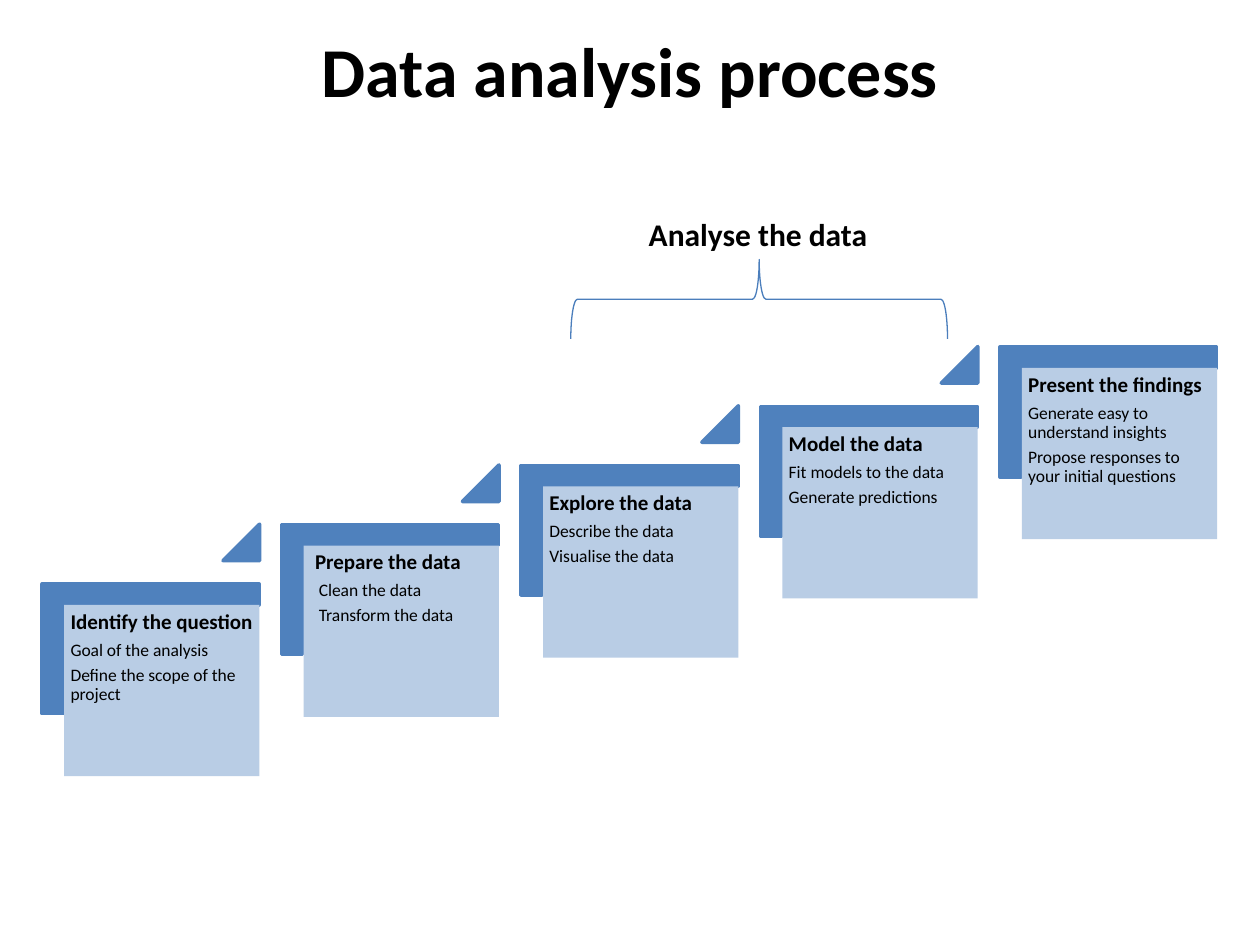
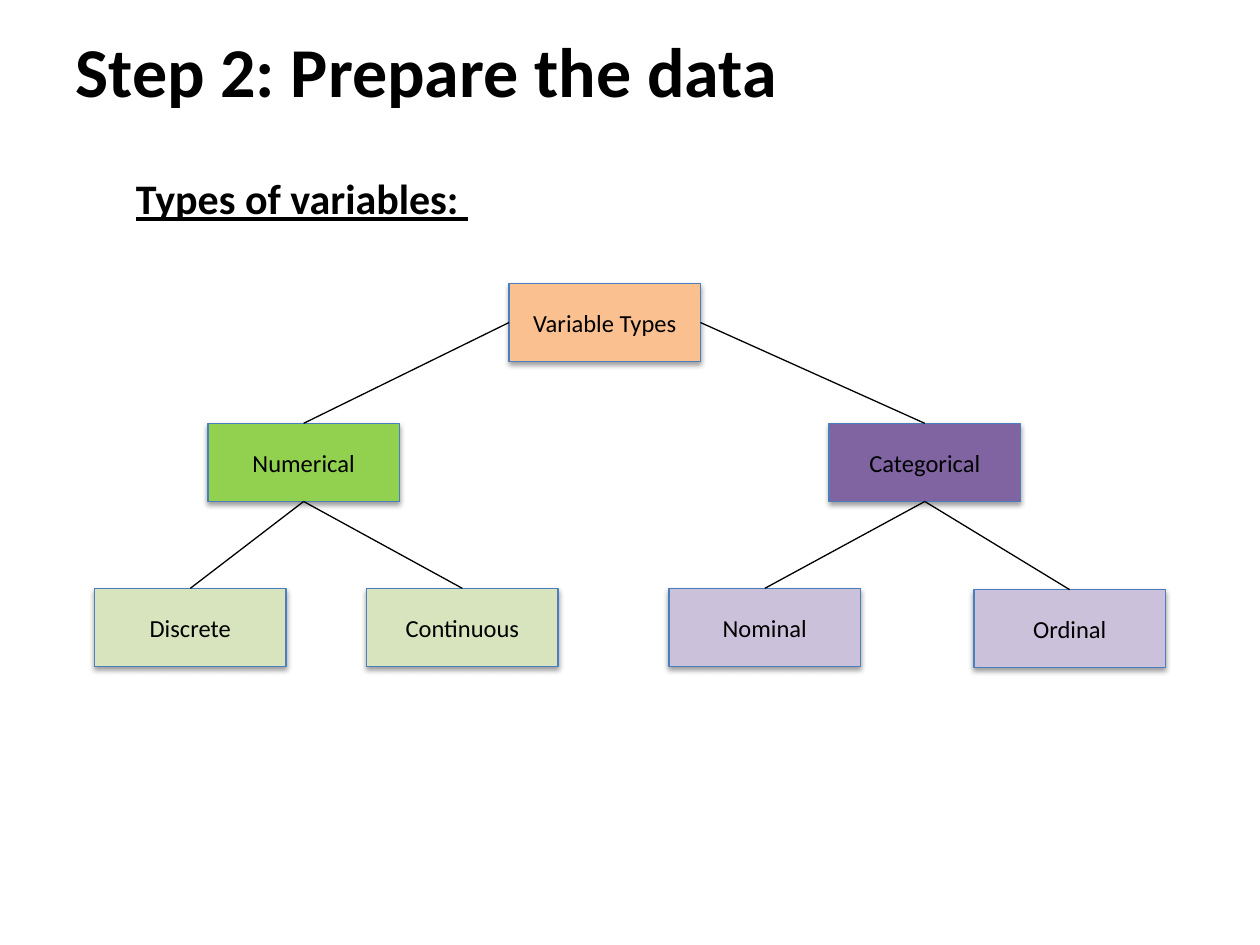
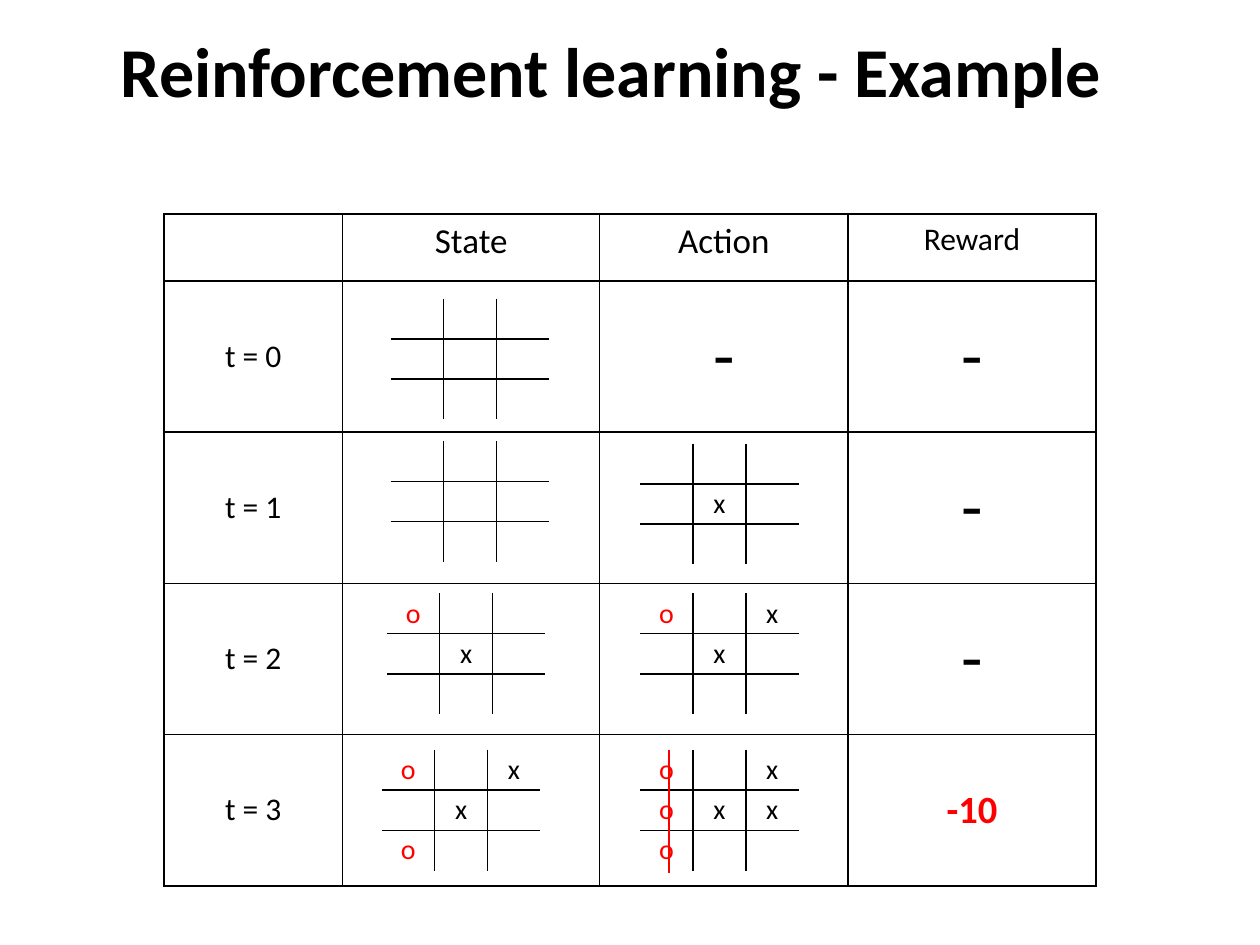
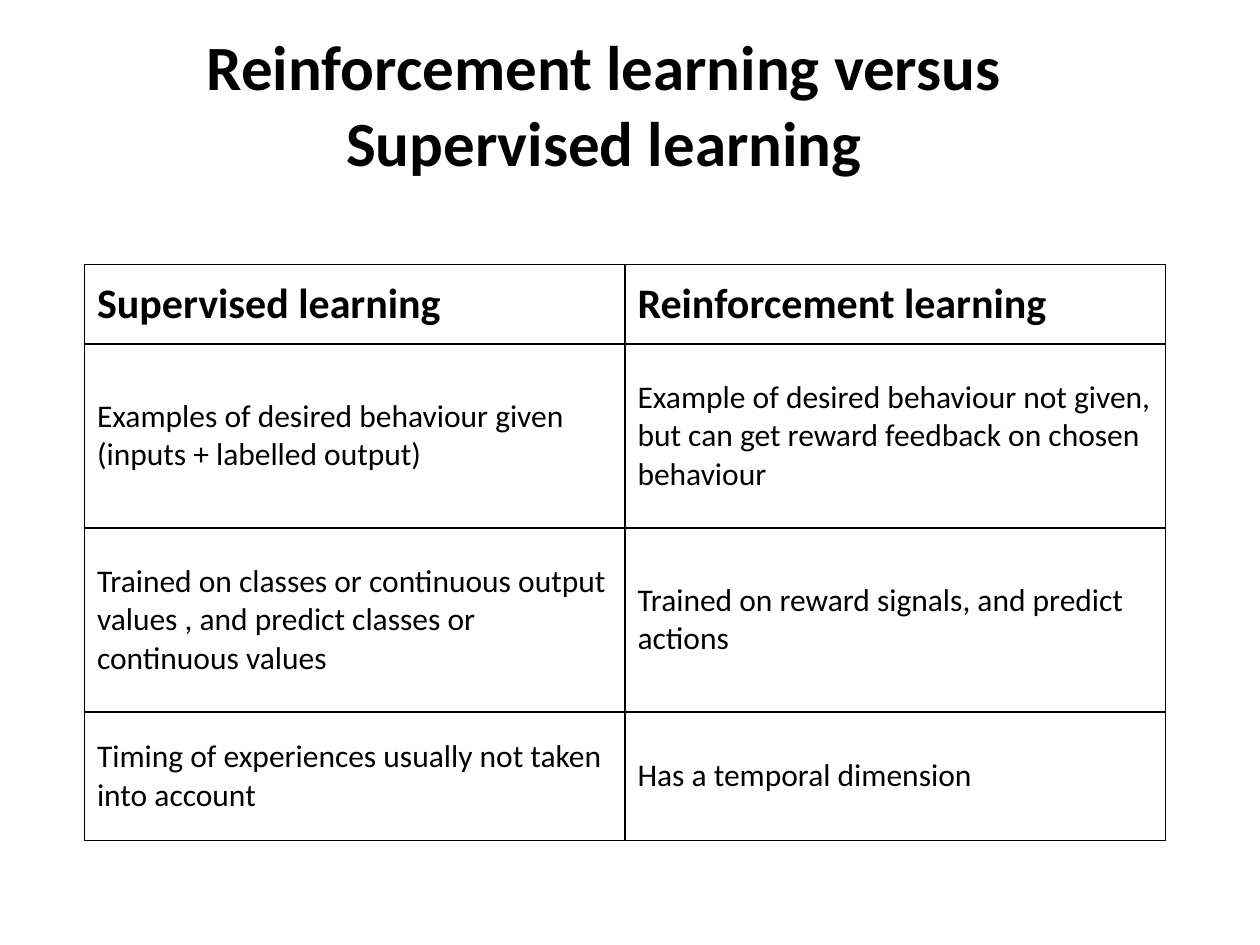
from lxml import etree
from pptx import Presentation
from pptx.dml.color import RGBColor
from pptx.enum import shapes, text
from pptx.oxml.ns import qn
from pptx.util import Inches, Pt

FONT = "Calibri"
BLACK, RED = "000000", "FF0000"
BLUE, PALE_BLUE, OUTLINE_BLUE = "4F81BD", "B9CDE5", "4B7EBC"
ORANGE, GREEN, PALE_GREEN = "FAC090", "92D050", "D7E4BD"
PURPLE, PALE_PURPLE = "8064A2", "CCC1DA"

LEFT, CENTER = text.PP_ALIGN.LEFT, text.PP_ALIGN.CENTER
TOP, MIDDLE = text.MSO_ANCHOR.TOP, text.MSO_ANCHOR.MIDDLE
TITLE_LEFT, TITLE_TOP, TITLE_WIDTH, TITLE_HEIGHT = 0.5, 0.17, 9, 0.83
ALL_SIDES = "LRTB"
BOARD_CELL_WIDTH, BOARD_CELL_HEIGHT = 0.42, 0.32


def color(hex_code):
    return RGBColor.from_string(hex_code)


def box(left, top, width, height):
    return [Inches(length) for length in (left, top, width, height)]


def add_run(paragraph, words, size, bold=False, hex_code=BLACK, underline=False):
    run = paragraph.add_run()
    run.text = words
    font = run.font
    font.name, font.size, font.bold = FONT, Pt(size), bold
    font.color.rgb = color(hex_code)
    if underline:
        font.underline = True


def add_titled_slide(deck, lines, size=40, left=TITLE_LEFT, align=CENTER):
    slide = deck.slides.add_slide(deck.slide_layouts[5])
    title = slide.shapes.title
    title.left, title.top, title.width, title.height = box(
        left, TITLE_TOP, TITLE_WIDTH, TITLE_HEIGHT)
    frame = title.text_frame
    frame.auto_size = text.MSO_AUTO_SIZE.NONE
    frame.vertical_anchor = TOP
    paragraph = frame.paragraphs[0]
    paragraph.alignment = align
    for number, line in enumerate(lines):
        if number:
            paragraph.add_line_break()
        add_run(paragraph, line, size, bold=True)
    return slide


def add_label(slide, place, words, size, underline=False):
    frame = slide.shapes.add_textbox(*box(*place)).text_frame
    frame.word_wrap = False
    frame.auto_size = text.MSO_AUTO_SIZE.SHAPE_TO_FIT_TEXT
    add_run(frame.paragraphs[0], words, size, bold=True, underline=underline)


def add_preset(slide, kind, place, fill=None, line=None, line_width=0.75):
    shape = slide.shapes.add_shape(kind, *box(*place))
    shape.shadow.inherit = False
    if fill:
        shape.fill.solid()
        shape.fill.fore_color.rgb = color(fill)
    else:
        shape.fill.background()
    if line:
        shape.line.color.rgb = color(line)
        shape.line.width = Pt(line_width)
    else:
        shape.line.fill.background()
    return shape


def add_line(slide, start, end, hex_code=BLACK, width=0.75):
    line = slide.shapes.add_connector(
        shapes.MSO_CONNECTOR.STRAIGHT, *box(*start, *end))
    line.line.color.rgb = color(hex_code)
    line.line.width = Pt(width)
    etree.SubElement(line._element.spPr, qn("a:effectLst"))
    return line


def add_soft_shadow(shape):
    effects = shape._element.spPr.find(qn("a:effectLst"))
    shadow = etree.SubElement(
        effects, qn("a:outerShdw"), blurRad=str(Pt(3.1)), dist=str(Pt(1.6)),
        dir="5400000", rotWithShape="0")
    black = etree.SubElement(shadow, qn("a:srgbClr"), val=BLACK)
    etree.SubElement(black, qn("a:alpha"), val="38000")


def add_step(slide, left, top, heading, details, indents, is_last):
    """Draw one stair: corner bracket, text panel and, unless last, a triangle."""
    bracket = add_preset(slide, shapes.MSO_SHAPE.CORNER,
                         (left + 0.17, top - 0.51, 1.03, 1.72), BLUE, BLUE, 2)
    bracket.rotation = 90
    bracket.adjustments[0] = bracket.adjustments[1] = 0.161

    panel = add_preset(slide, shapes.MSO_SHAPE.RECTANGLE,
                       (left, top, 1.55, 1.36), PALE_BLUE)
    frame = panel.text_frame
    frame.word_wrap = True
    frame.vertical_anchor = TOP
    frame.margin_left = frame.margin_right = Inches(0.05)
    frame.margin_top = frame.margin_bottom = Inches(0.05)
    for number, words in enumerate([heading, *details]):
        paragraph = frame.add_paragraph() if number else frame.paragraphs[0]
        size = 10 if number else 12
        paragraph.alignment = LEFT
        paragraph.line_spacing = 0.9
        paragraph.space_after = Pt(0.35 * size)
        indent = indents[min(number, 1)]
        if indent:
            paragraph._p.get_or_add_pPr().set("marL", str(Inches(indent)))
        add_run(paragraph, words, size, bold=number == 0)

    if not is_last:
        triangle = add_preset(slide, shapes.MSO_SHAPE.ISOSCELES_TRIANGLE,
                              (left + 1.26, top - 0.64, 0.29, 0.29), BLUE, BLUE, 2)
        triangle.adjustments[0] = 1


def add_node(slide, left, top, words, fill):
    node = add_preset(slide, shapes.MSO_SHAPE.RECTANGLE,
                      (left, top, 1.52, 0.62), fill, OUTLINE_BLUE)
    add_soft_shadow(node)
    node.text_frame.vertical_anchor = MIDDLE
    paragraph = node.text_frame.paragraphs[0]
    paragraph.alignment = CENTER
    add_run(paragraph, words, 14)
    return node


def join(slide, parent, parent_side, child):
    """Link a side of the parent to the top of the child."""
    link = add_line(slide, (0, 0), (1, 1))
    link.begin_connect(parent, parent_side)
    link.end_connect(child, 0)


def add_plain_table(slide, left, top, widths, heights):
    place = box(left, top, sum(widths), sum(heights))
    table = slide.shapes.add_table(len(heights), len(widths), *place).table
    table.first_row = table.horz_banding = False
    for column, width in zip(table.columns, widths):
        column.width = Inches(width)
    for row, height in zip(table.rows, heights):
        row.height = Inches(height)
    return table


def format_cell(cell, sides=ALL_SIDES):
    """Give the cell no fill and black lines on the named sides only."""
    properties = cell._tc.get_or_add_tcPr()
    for side in ALL_SIDES:
        border = etree.SubElement(properties, qn(f"a:ln{side}"), w=str(Pt(1)))
        if side in sides:
            fill = etree.SubElement(border, qn("a:solidFill"))
            etree.SubElement(fill, qn("a:srgbClr"), val=BLACK)
        else:
            etree.SubElement(border, qn("a:noFill"))
    cell.fill.background()


def fill_cell(cell, words, size, align=CENTER, anchor=MIDDLE, **style):
    cell.vertical_anchor = anchor
    paragraph = cell.text_frame.paragraphs[0]
    paragraph.alignment = align
    if words:
        add_run(paragraph, words, size, **style)
    else:
        etree.SubElement(paragraph._p, qn("a:endParaRPr"), sz=str(size * 100))


def add_board(slide, left, top, marks):
    """Draw a noughts-and-crosses board; a dot stands for a free square."""
    board = add_plain_table(slide, left, top, [BOARD_CELL_WIDTH] * 3,
                            [BOARD_CELL_HEIGHT] * 3)
    for row, line in enumerate(marks.split("/")):
        for column, mark in enumerate(line):
            cell = board.cell(row, column)
            inner = {"L": column > 0, "R": column < 2, "T": row > 0, "B": row < 2}
            format_cell(cell, [side for side in ALL_SIDES if inner[side]])
            cell.margin_left = cell.margin_right = Inches(0.03)
            cell.margin_top = cell.margin_bottom = Inches(0.02)
            fill_cell(cell, mark.strip("."), 16,
                      hex_code=RED if mark == "o" else BLACK)


def build_process(deck):
    slide = add_titled_slide(deck, ["Data analysis process"])
    steps = [
        ("Identify the question",
         ["Goal of the analysis", "Define the scope of the project"]),
        ("Prepare the data", ["Clean the data", "Transform the data"]),
        ("Explore the data", ["Describe the data", "Visualise the data"]),
        ("Model the data", ["Fit models to the data", "Generate predictions"]),
        ("Present the findings",
         ["Generate easy to understand insights",
          "Propose responses to your initial questions"]),
    ]
    for number, (heading, details) in enumerate(steps):
        indents = (0.04, 0.07) if number == 1 else (0, 0)
        add_step(slide, 0.51 + 1.9 * number, 4.8 - 0.47 * number, heading,
                 details, indents, number == len(steps) - 1)
    add_label(slide, (5.05, 1.66, 1.95, 0.4), "Analyse the data", 18)
    brace = add_preset(slide, shapes.MSO_SHAPE.LEFT_BRACE,
                       (5.71, 0.88, 0.63, 2.99), line=OUTLINE_BLUE)
    brace.rotation = 90


def build_variable_types(deck):
    slide = add_titled_slide(deck, ["Step 2: Prepare the data"], align=LEFT)
    add_label(slide, (0.98, 1.32, 2.87, 0.5), "Types of variables: ", 24,
              underline=True)
    root = add_node(slide, 4.04, 2.25, "Variable Types", ORANGE)
    branches = [
        (1, 1.65, "Numerical", GREEN, PALE_GREEN,
         [(0.75, 4.67, "Discrete"), (2.91, 4.67, "Continuous")]),
        (3, 6.58, "Categorical", PURPLE, PALE_PURPLE,
         [(5.31, 4.67, "Nominal"), (7.73, 4.68, "Ordinal")]),
    ]
    for root_side, left, name, fill, leaf_fill, leaves in branches:
        branch = add_node(slide, left, 3.36, name, fill)
        join(slide, root, root_side, branch)
        for leaf_left, leaf_top, leaf_name in leaves:
            leaf = add_node(slide, leaf_left, leaf_top, leaf_name, leaf_fill)
            join(slide, branch, 2, leaf)


def build_game_example(deck):
    slide = add_titled_slide(deck, ["Reinforcement learning - Example"], left=0.35)
    rows = [
        ("", "State", "Action", "Reward"),
        ("t = 0", "", "-", "-"),
        ("t = 1", "", "", "-"),
        ("t = 2", "", "", "-"),
        ("t = 3", "", "", "-10"),
    ]
    sizes = {"State": 20, "Action": 20, "-": 40, "-10": 22}
    table = add_plain_table(slide, 1.3, 1.7, [1.42, 2.04, 1.97, 1.97],
                            [0.53] + [1.2] * 4)
    for row, entries in enumerate(rows):
        for column, words in enumerate(entries):
            cell = table.cell(row, column)
            format_cell(cell)
            is_penalty = words == "-10"
            fill_cell(cell, words, sizes.get(words, 18),
                      anchor=MIDDLE if row else TOP, bold=is_penalty,
                      hex_code=RED if is_penalty else BLACK)

    boards = [
        (3.1, 2.37, ".../.../..."),
        (3.1, 3.5, ".../.../..."),
        (3.07, 4.71, "o../.x./..."),
        (3.03, 5.95, "o.x/.x./o.."),
        (5.08, 3.52, ".../.x./..."),
        (5.08, 4.71, "o.x/.x./..."),
        (5.08, 5.95, "o.x/oxx/o.."),
    ]
    for left, top, marks in boards:
        add_board(slide, left, top, marks)
    add_line(slide, (5.31, 5.95), (5.31, 6.93), RED, 1.5)


def build_comparison(deck):
    slide = add_titled_slide(
        deck, ["Reinforcement learning versus ", "Supervised learning "],
        size=36, left=0.35)
    rows = [
        ("Supervised learning", "Reinforcement learning"),
        ("Examples of desired behaviour given (inputs + labelled output)",
         "Example of desired behaviour not given, but can get reward feedback "
         "on chosen behaviour"),
        ("Trained on classes or continuous output values , and predict classes "
         "or continuous values",
         "Trained on reward signals, and predict actions"),
        ("Timing of experiences usually not taken into account",
         "Has a temporal dimension"),
    ]
    table = add_plain_table(slide, 0.67, 2.1, [4.29] * 2, [0.63, 1.46, 1.46, 1.02])
    for row, entries in enumerate(rows):
        for column, words in enumerate(entries):
            cell = table.cell(row, column)
            format_cell(cell)
            fill_cell(cell, words, 18 if row else 24, align=LEFT, bold=row == 0)


def main():
    deck = Presentation()
    deck.slide_width, deck.slide_height = Inches(10), Inches(7.5)
    build_process(deck)
    build_variable_types(deck)
    build_game_example(deck)
    build_comparison(deck)
    deck.save("out.pptx")


if __name__ == "__main__":
    main()
